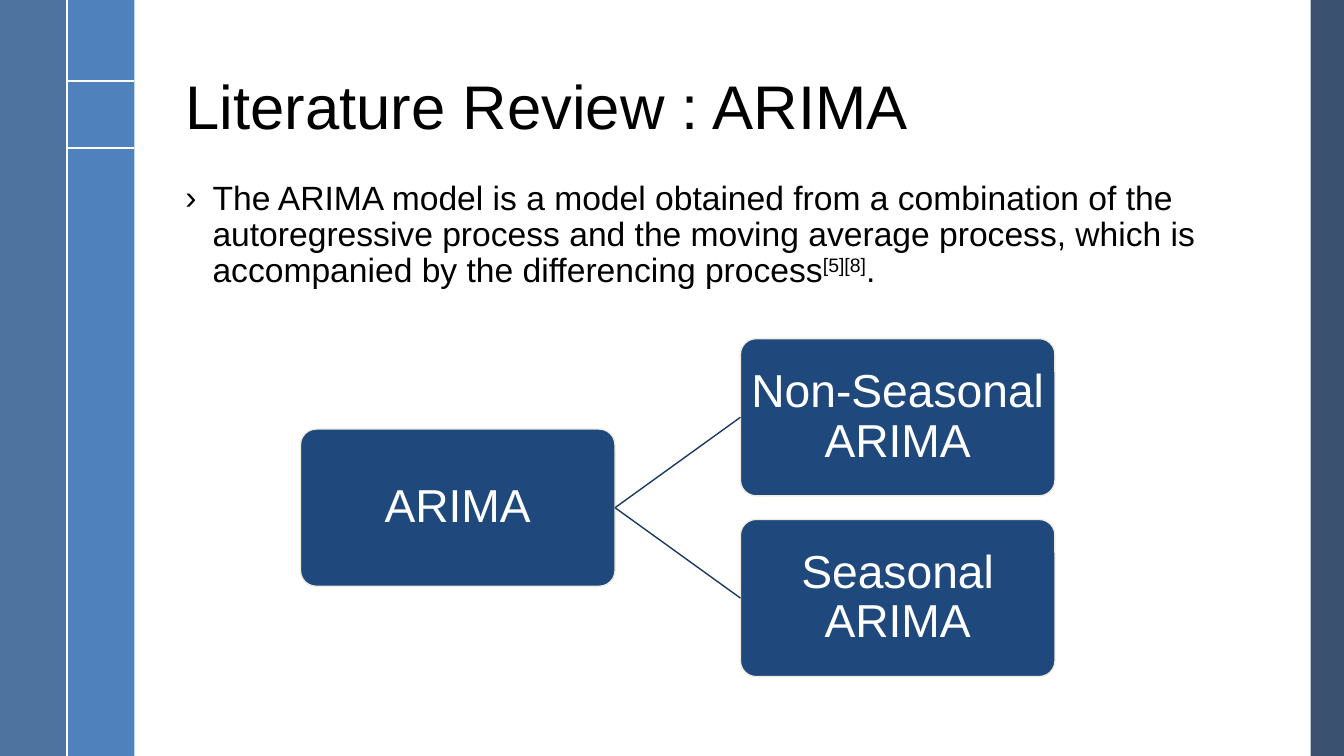
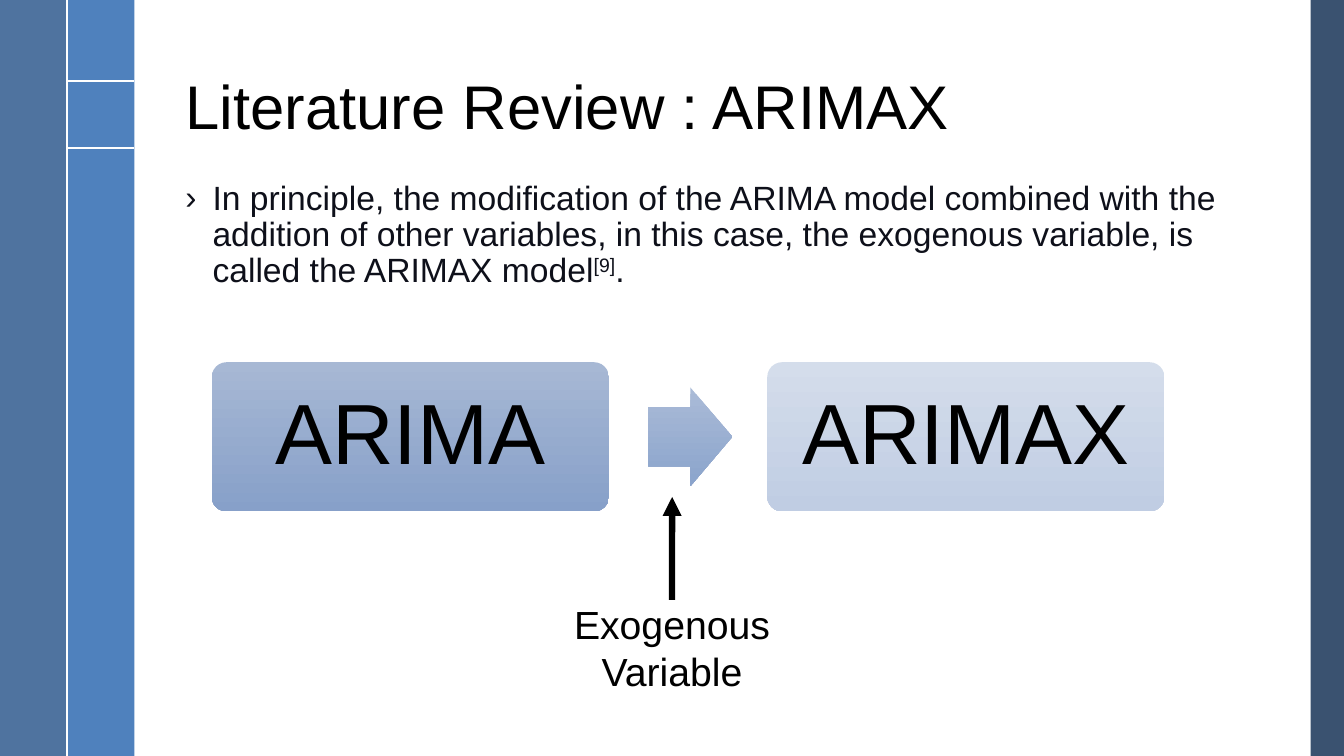
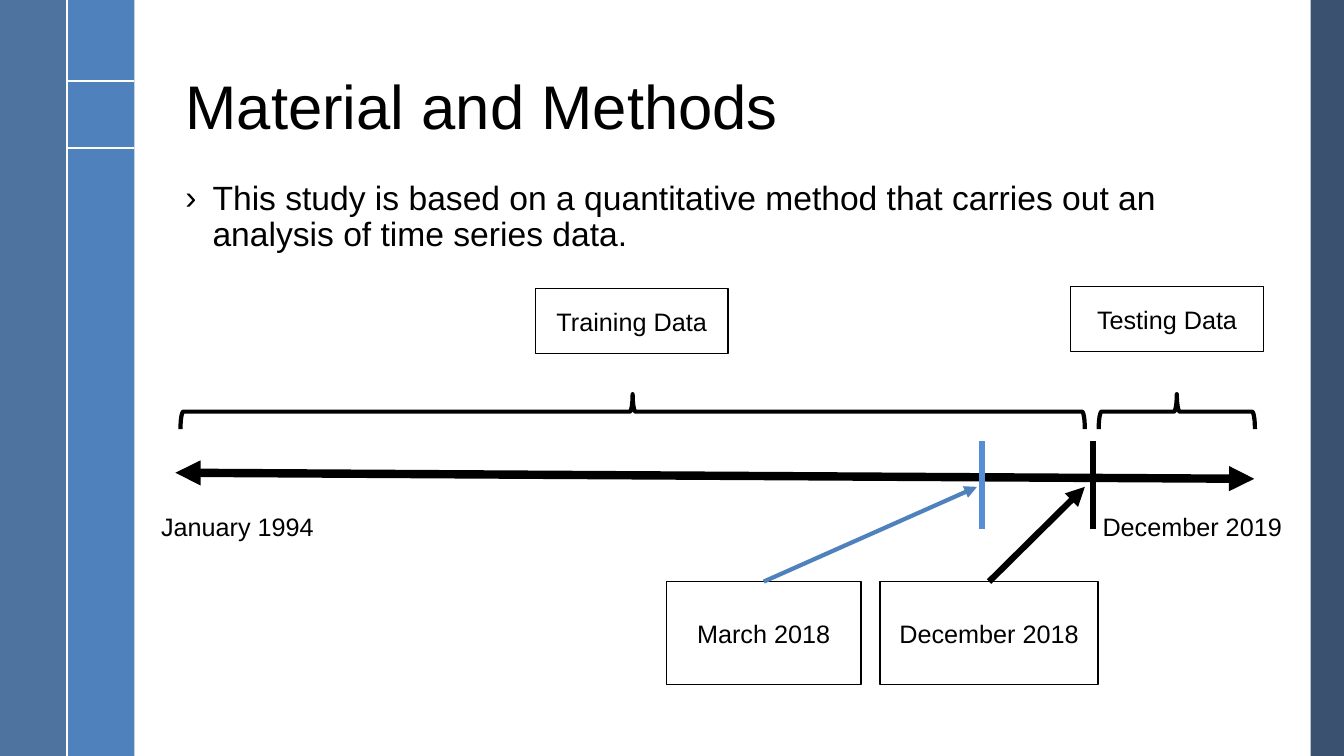
from dataclasses import dataclass
from typing import NamedTuple

from lxml.etree import SubElement
from pptx import Presentation
from pptx.dml.color import RGBColor
from pptx.enum.shapes import MSO_CONNECTOR, MSO_SHAPE
from pptx.enum.text import MSO_ANCHOR, MSO_AUTO_SIZE, PP_ALIGN
from pptx.oxml.ns import qn
from pptx.util import Inches, Pt

# Grid of square cells, a third of an inch each
COLUMNS, ROWS = 40, 22.5
TOP, LEFT, RIGHT = 0, 1, 3


@dataclass(frozen=True)
class Theme:
    font: str = "Arial"
    ink: str = "000000"
    body_ink: str = "0E101A"
    paper: str = "FFFFFF"
    band_outer: str = "376092"
    band_inner: str = "4F81BD"
    band_right: str = "254061"
    node: str = "1F497D"
    node_edge: str = "EEECE1"
    branch: str = "193A64"
    accent: str = "4F81BD"
    accent_mark: str = "558ED5"
    panel_dark: tuple = ("A7B8D4", "87A0C9")
    panel_light: tuple = ("D4DDEB", "C0CDE3")
    panel_arrow: tuple = ("AABBD7", "8BA4CC")
    title_size: float = 44
    body_size: float = 24
    label_size: float = 18
    caption_size: float = 28
    node_size: float = 33
    panel_size: float = 61
    thin: float = 1
    rule: float = 1.5
    medium: float = 3
    heavy: float = 4.5
    axis: float = 6


class Joint(NamedTuple):
    """A connection site of a shape."""
    shape: object
    site: int


class Deck:
    """Holds the style and the current slide."""

    def __init__(self, theme):
        self.theme = theme
        self.presentation = Presentation()
        self.presentation.slide_width = Inches(13.33)
        self.presentation.slide_height = Inches(7.5)
        self.slide = None

    def cells(self, *lengths):
        return [round(self.presentation.slide_height * length / ROWS) for length in lengths]

    def new_slide(self, title):
        theme = self.theme
        self.slide = self.presentation.slides.add_slide(self.presentation.slide_layouts[5])
        # Side bands and their white rules
        self.box(39, 0, 1, ROWS, fill=theme.band_right, opacity=90)
        self.box(2, 0, 2, ROWS, fill=theme.band_inner)
        self.box(0, 0, 2, ROWS, fill=theme.band_outer, opacity=88)
        for start, end in (((2, 2.42), (4, 2.42)), ((2, 4.41), (4, 4.41)), ((2, 0), (2, ROWS))):
            self.line(start, end, theme.paper, theme.rule)
        # Title
        shape = self.slide.shapes.title
        shape.left, shape.top, shape.width, shape.height = self.cells(5.22, 1.41, 32.1, 3)
        shape.text_frame.text = title
        self.format_text(shape, theme.title_size, theme.ink, PP_ALIGN.LEFT, 0.9)
        shape.text_frame.vertical_anchor = MSO_ANCHOR.BOTTOM

    def format_text(self, shape, size, color, alignment=PP_ALIGN.CENTER, spacing=1.0):
        frame = shape.text_frame
        frame.word_wrap = True
        frame.auto_size = MSO_AUTO_SIZE.NONE
        for paragraph in frame.paragraphs:
            paragraph.alignment = alignment
            paragraph.line_spacing = spacing
            for run in paragraph.runs:
                run.font.name = self.theme.font
                run.font.size = Pt(size)
                run.font.color.rgb = RGBColor.from_string(color)

    def bullet(self, text, citation="", ending="", color=None):
        shape = self.slide.shapes.add_textbox(*self.cells(5.22, 5.25, 32.1, 15))
        paragraph = shape.text_frame.paragraphs[0]
        properties = paragraph._p.get_or_add_pPr()
        properties.set("marL", str(Inches(0.27)))
        properties.set("indent", str(-Inches(0.27)))
        SubElement(properties, qn("a:buFont")).set("typeface", self.theme.font)
        SubElement(properties, qn("a:buChar")).set("char", "›")
        for part in filter(None, (text, citation, ending)):
            run = paragraph.add_run()
            run.text = part
            if part == citation:
                run._r.get_or_add_rPr().set("baseline", "30000")
        self.format_text(shape, self.theme.body_size, color or self.theme.ink, PP_ALIGN.LEFT, 0.9)

    def box(self, left, top, width, height, kind=MSO_SHAPE.RECTANGLE, fill=None, opacity=None,
            edge=None, weight=1, adjust=()):
        """A preset shape; a pair of colours makes a gradient from top to bottom."""
        shape = self.slide.shapes.add_shape(kind, *self.cells(left, top, width, height))
        shape.shadow.inherit = False
        for index, value in enumerate(adjust):
            shape.adjustments[index] = value
        if fill is None:
            shape.fill.background()
        elif isinstance(fill, tuple):
            shape.fill.gradient()
            shape.fill.gradient_angle = 270
            for stop, color in zip(shape.fill.gradient_stops, fill):
                stop.color.rgb = RGBColor.from_string(color)
        else:
            shape.fill.solid()
            shape.fill.fore_color.rgb = RGBColor.from_string(fill)
        if opacity is not None:
            color_element = shape._element.spPr.find(".//" + qn("a:srgbClr"))
            SubElement(color_element, qn("a:alpha")).set("val", str(opacity * 1000))
        if edge:
            shape.line.color.rgb = RGBColor.from_string(edge)
            shape.line.width = Pt(weight)
        else:
            shape.line.fill.background()
        return shape

    def label(self, text, left, top, width, height, size=None, edge=None):
        theme = self.theme
        shape = self.box(left, top, width, height, fill=theme.paper, edge=edge, weight=theme.thin)
        shape.text_frame.text = text
        self.format_text(shape, size or theme.label_size, theme.ink)
        return shape

    def card(self, text, left, top, width, height, fill, size, color, edge=None):
        """A rounded box with large text and a narrow margin."""
        shape = self.box(left, top, width, height, MSO_SHAPE.ROUNDED_RECTANGLE, fill,
                         edge=edge, weight=self.theme.thin, adjust=(0.1,))
        frame = shape.text_frame
        frame.text = text
        frame.margin_left = frame.margin_right = Inches(0.02)
        frame.margin_top = frame.margin_bottom = Inches(0.02)
        self.format_text(shape, size, color, spacing=0.9)
        return shape

    def brace(self, left, top, width, height):
        """A brace that points up: an upright one turned about its centre."""
        shift = (width - height) / 2
        shape = self.box(left + shift, top - shift, height, width, MSO_SHAPE.RIGHT_BRACE,
                         edge=self.theme.ink, weight=self.theme.medium)
        shape.rotation = 270

    def line(self, start, end, color, weight, head=False, tail=False):
        """A straight line between two points or joints."""
        start_point, end_point = [(0, 0) if isinstance(place, Joint) else place
                                  for place in (start, end)]
        connector = self.slide.shapes.add_connector(
            MSO_CONNECTOR.STRAIGHT, *self.cells(*start_point, *end_point))
        if isinstance(start, Joint):
            connector.begin_connect(start.shape, start.site)
        if isinstance(end, Joint):
            connector.end_connect(end.shape, end.site)
        connector.line.color.rgb = RGBColor.from_string(color)
        connector.line.width = Pt(weight)
        for shown, tag in ((head, "a:headEnd"), (tail, "a:tailEnd")):
            if shown:
                SubElement(connector.line._get_or_add_ln(), qn(tag)).set("type", "triangle")
        SubElement(connector._element.spPr, qn("a:effectLst"))


def arima_slide(deck):
    theme = deck.theme
    deck.new_slide("Literature Review : ARIMA")
    deck.bullet("The ARIMA model is a model obtained from a combination of the autoregressive "
                "process and the moving average process, which is accompanied by the "
                "differencing process", "[5][8]", ".")
    # Tree: the root stands midway between its children
    width, height, first_top, pitch = 9.36, 4.68, 10.08, 5.38

    def node(text, left, row):
        return deck.card(text, left, first_top + row * pitch, width, height,
                         theme.node, theme.node_size, theme.paper, theme.node_edge)

    root = node("ARIMA", 8.94, 0.5)
    for row, text in enumerate(("Non-Seasonal ARIMA", "Seasonal ARIMA")):
        child = node(text, 22.03, row)
        deck.line(Joint(root, RIGHT), Joint(child, LEFT), theme.branch, theme.thin)


def arimax_slide(deck):
    theme = deck.theme
    deck.new_slide("Literature Review : ARIMAX")
    deck.bullet("In principle, the modification of the ARIMA model combined with the addition "
                "of other variables, in this case, the exogenous variable, is called the "
                "ARIMAX model", "[9]", ".", theme.body_ink)
    # Two panels and the arrow between them
    for text, left, fill in (("ARIMA", 6.3, theme.panel_dark), ("ARIMAX", 22.83, theme.panel_light)):
        deck.card(text, left, 10.78, 11.82, 4.44, fill, theme.panel_size, theme.ink)
    deck.box(19.29, 11.53, 2.5, 2.94, MSO_SHAPE.RIGHT_ARROW, theme.panel_arrow, adjust=(0.6, 0.5))
    # Added variable
    variable = deck.label("Exogenous Variable", 15.03, 17.85, 9.93, 2.82, theme.caption_size)
    deck.line(Joint(variable, TOP), (20, 14.79), theme.ink, theme.heavy, tail=True)


def methods_slide(deck):
    theme = deck.theme
    deck.new_slide("Material and Methods")
    deck.bullet("This study is based on a quantitative method that carries out an analysis of "
                "time series data.")
    # Time axis and its ends
    deck.line((5.22, 14.07), (37.32, 14.25), theme.ink, theme.axis, head=True, tail=True)
    deck.label("January 1994", 4.17, 15.03, 5.79, 1.29)
    deck.label("December 2019", 31.98, 14.73, 6.99, 1.86)
    # Periods
    for text, label_left, label_top, brace_left, brace_width in (
            ("Training Data", 15.93, 8.58, 5.37, 26.91),
            ("Testing Data", 31.86, 8.52, 32.69, 4.65)):
        deck.label(text, label_left, label_top, 5.73, 1.95, edge=theme.ink)
        deck.brace(brace_left, 11.73, brace_width, 1.04)
    # Marked dates, each with an arrow to its mark
    for text, left, width, mark, tip, mark_color, arrow_color, weight in (
            ("December 2018", 26.19, 6.48, 32.52, 32.28, theme.ink, theme.ink, theme.heavy),
            ("March 2018", 19.83, 5.79, 29.22, 29.07, theme.accent_mark, theme.accent,
             theme.medium)):
        date = deck.label(text, left, 17.31, width, 3.06, edge=theme.ink)
        deck.line((mark, 13.14), (mark, 15.75), mark_color, theme.heavy)
        deck.line(Joint(date, TOP), (tip, 14.49), arrow_color, weight, tail=True)


def main():
    deck = Deck(Theme())
    for build in (arima_slide, arimax_slide, methods_slide):
        build(deck)
    deck.presentation.save("out.pptx")


if __name__ == "__main__":
    main()
